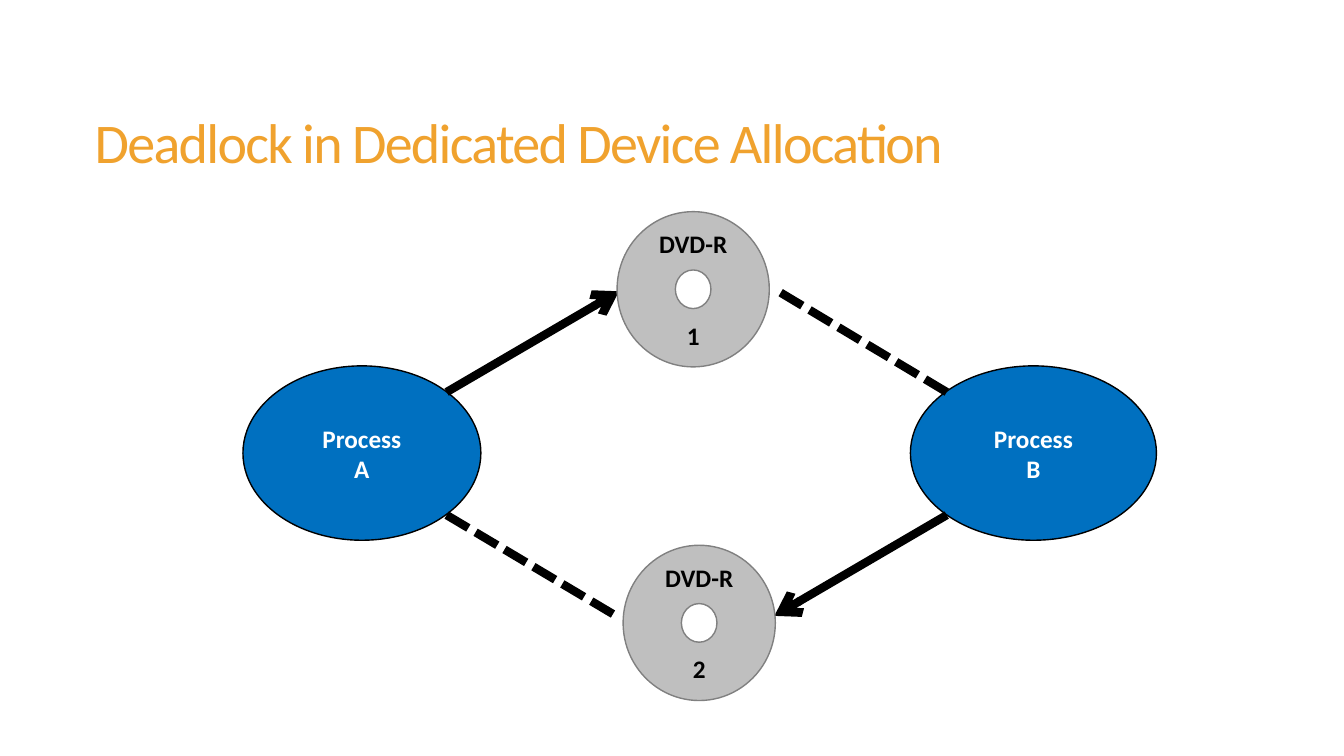
from lxml.etree import SubElement
from pptx import Presentation
from pptx.dml.color import RGBColor
from pptx.enum.dml import MSO_LINE
from pptx.enum.shapes import MSO_CONNECTOR, MSO_SHAPE
from pptx.enum.text import MSO_ANCHOR, PP_ALIGN
from pptx.oxml.ns import qn
from pptx.util import Inches, Pt


def color(value):
    return RGBColor.from_string(value)


def write(paragraph, text, size=18, fill="000000", bold=False, font="Calibri", spacing=None):
    span = paragraph.add_run()
    span.text = text
    span.font.name = font
    span.font.size = Pt(size)
    span.font.bold = bold
    span.font.color.rgb = color(fill)
    if spacing is not None:
        span.font._element.set("spc", str(round(spacing * 100)))


class Diagram:
    process_fill = "0070C0"
    disc_fill = "BFBFBF"
    disc_line = "808080"
    black = "000000"
    white = "FFFFFF"
    accent = "F0A22E"

    def __init__(self, slide):
        self.slide = slide
        slide.background.fill.solid()
        slide.background.fill.fore_color.rgb = color(self.white)

    def title(self, text, left, top, width, height):
        box = self.slide.shapes.add_textbox(Inches(left), Inches(top), Inches(width), Inches(height))
        frame = box.text_frame
        frame.word_wrap = True
        frame.vertical_anchor = MSO_ANCHOR.MIDDLE
        para = frame.paragraphs[0]
        para.line_spacing = 0.85
        properties = para._p.get_or_add_pPr()
        properties.set("marL", str(Inches(0.68)))
        properties.set("indent", str(Inches(-0.56)))
        write(para, text, size=40, fill=self.accent, spacing=-1.2)

    def labelled_shape(self, kind, area, lines, fill, line, text_fill, gap=0):
        shape = self.slide.shapes.add_shape(kind, *map(Inches, area))
        shape.shadow.inherit = False
        shape.fill.solid()
        shape.fill.fore_color.rgb = color(fill)
        shape.line.color.rgb = color(line)
        shape.line.width = Pt(1)
        frame = shape.text_frame
        frame.word_wrap = True
        frame.vertical_anchor = MSO_ANCHOR.MIDDLE
        for index, text in enumerate(lines):
            para = frame.add_paragraph() if index else frame.paragraphs[0]
            para.alignment = PP_ALIGN.CENTER
            if index:
                para.space_before = Pt(gap)
            write(para, text, fill=text_fill, bold=True)
        return shape

    def process(self, name, left, width):
        self.labelled_shape(MSO_SHAPE.OVAL, (left, 3.63, width, 1.73), ("Process", name),
                            self.process_fill, self.black, self.white)

    def disc(self, number, left, top):
        disc = self.labelled_shape(MSO_SHAPE.DONUT, (left, top, 1.51, 1.54), ("DVD-R", number),
                                   self.disc_fill, self.disc_line, self.black, gap=44)
        disc.adjustments[0] = 0.383

    def link(self, start, end, held):
        link = self.slide.shapes.add_connector(MSO_CONNECTOR.STRAIGHT, *map(Inches, start + end))
        link.line.color.rgb = color(self.black)
        link.line.width = Pt(6)
        if held:
            SubElement(link.line._get_or_add_ln(), qn("a:tailEnd"), type="arrow")
        else:
            link.line.dash_style = MSO_LINE.SQUARE_DOT
        SubElement(link._element.spPr, qn("a:effectLst"))


def main():
    deck = Presentation()
    deck.slide_width = Inches(13.33)
    deck.slide_height = Inches(7.5)
    page = deck.slides.add_slide(deck.slide_layouts[6])
    diagram = Diagram(page)

    diagram.title("Deadlock in Dedicated Device Allocation", 0.72, 0.55, 11.78, 1.81)
    diagram.process("B", 9.03, 2.44)
    diagram.link((9.39, 5.11), (7.68, 6.11), held=True)
    diagram.link((9.39, 3.89), (7.72, 2.89), held=False)
    diagram.process("A", 2.41, 2.36)
    diagram.link((4.43, 3.89), (6.14, 2.89), held=True)
    diagram.link((4.43, 5.11), (6.11, 6.11), held=False)
    diagram.disc("1", 6.12, 2.1)
    diagram.disc("2", 6.18, 5.41)

    deck.save("out.pptx")


if __name__ == "__main__":
    main()
